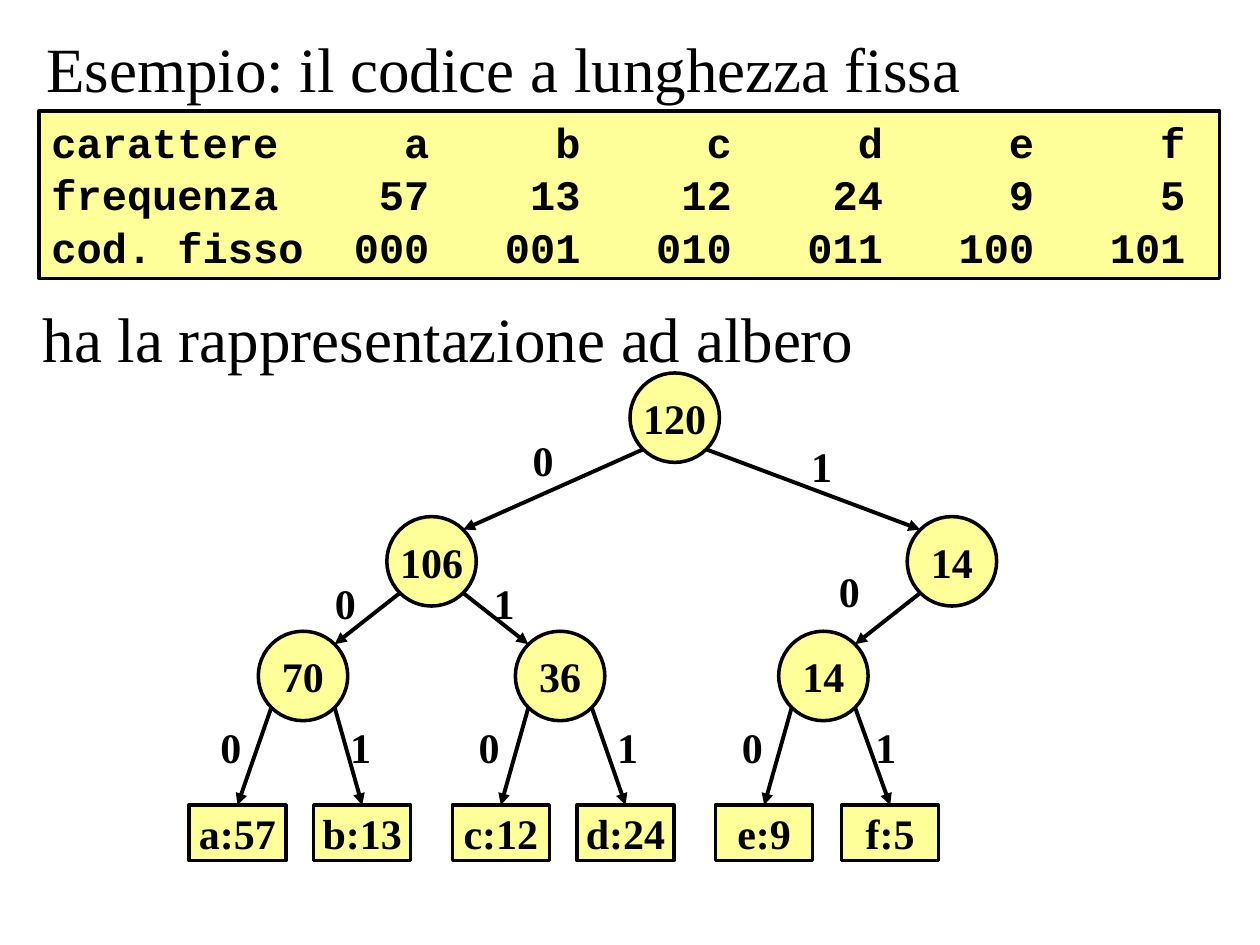
from lxml import etree
from pptx import Presentation
from pptx.dml.color import RGBColor
from pptx.enum.shapes import MSO_CONNECTOR, MSO_SHAPE
from pptx.enum.text import MSO_ANCHOR, PP_ALIGN
from pptx.oxml.ns import qn
from pptx.util import Inches, Pt

RECTANGLE, OVAL = MSO_SHAPE.RECTANGLE, MSO_SHAPE.OVAL
STRAIGHT = MSO_CONNECTOR.STRAIGHT
TOP, MIDDLE, BOTTOM = MSO_ANCHOR.TOP, MSO_ANCHOR.MIDDLE, MSO_ANCHOR.BOTTOM
LEFT, CENTER = PP_ALIGN.LEFT, PP_ALIGN.CENTER

COLORS = {"ink": "000000", "fill": "FFFF99"}
SERIF, MONO = "Times New Roman", "Courier New"
COLUMNS, ROWS = 100, 75
CELL = Inches(0.1)

CODE_ROWS = [
    ["carattere", "a", "b", "c", "d", "e", "f"],
    ["frequenza", "57", "13", "12", "24", "9", "5"],
    ["cod. fisso", "000", "001", "010", "011", "100", "101"],
]
CHAR_WIDTH, FIRST_STOP, STOP_STEP = 2, 15, 6

DIAMETER = 7.1
CORNER = DIAMETER / 2 * 0.71
LEAF_WIDTH, LEAF_HEIGHT = 7.7, 4.4
LABEL_WIDTH, LABEL_HEIGHT = 4, 5.7
LEVELS = [3.55, 14.95, 24.05, 36.5]
LEAF_LEVEL = len(LEVELS) - 1
LABEL_ROWS = [6.85, 18.25, 29.65]

# node: text, column, and children as (bit, label column, label row shift, node)
TREE = ("120", 38.55, [
    ("0", 28.3, 0, ("106", 19.25, [
        ("0", 12.6, 0, ("70", 9.05, [
            ("0", 3.5, 0, ("a:57", 3.85, [])),
            ("1", 13.8, 0, ("b:13", 13.75, []))])),
        ("1", 25.2, 0, ("36", 29.45, [
            ("0", 24, 0, ("c:12", 24.75, [])),
            ("1", 35, 0, ("d:24", 34.65, []))])),
    ])),
    ("1", 50.4, 0.5, ("14", 60.55, [
        ("0", 52.6, -1, ("14", 50.35, [
            ("0", 44.9, 0, ("e:9", 45.65, [])),
            ("1", 55.5, 0, ("f:5", 55.65, []))])),
    ])),
])


def grid(*lengths):
    return [round(length * CELL) for length in lengths]


def color(name):
    return RGBColor.from_string(COLORS[name])


def write(shape, lines, font=SERIF, size=24, bold=True, align=CENTER,
          anchor=MIDDLE, wrap=False, stops=(), spacing=None):
    frame = shape.text_frame
    frame.word_wrap = wrap
    frame.vertical_anchor = anchor
    for index, line in enumerate(lines):
        para = frame.add_paragraph() if index else frame.paragraphs[0]
        para.alignment = align
        if stops:
            tabs = etree.SubElement(para._p.get_or_add_pPr(), qn("a:tabLst"))
            for stop in stops:
                etree.SubElement(tabs, qn("a:tab"), pos=str(stop), algn="r")
        if spacing:
            para.line_spacing = spacing
        span = para.add_run()
        span.text = line
        span.font.name = font
        span.font.size = Pt(size)
        span.font.bold = bold
        span.font.color.rgb = color("ink")


def add_text(page, box, text, **style):
    write(page.shapes.add_textbox(*grid(*box)), [text], **style)


def add_filled(page, kind, box, lines, **style):
    shape = page.shapes.add_shape(kind, *grid(*box))
    shape.shadow.inherit = False
    shape.fill.solid()
    shape.fill.fore_color.rgb = color("fill")
    shape.line.color.rgb = color("ink")
    shape.line.width = Pt(2)
    write(shape, lines, **style)


def add_arrow(page, start, end):
    arrow = page.shapes.add_connector(STRAIGHT, *grid(*start, *end))
    arrow.line.color.rgb = color("ink")
    arrow.line.width = Pt(2.25)
    etree.SubElement(arrow.line._get_or_add_ln(), qn("a:tailEnd"), type="triangle")
    etree.SubElement(arrow._element.spPr, qn("a:effectLst"))


def add_heading(page, box, text, anchor):
    add_text(page, box, text, size=36, bold=False, align=LEFT, anchor=anchor, wrap=True)


def add_code_panel(page, box):
    stops = grid(*[CHAR_WIDTH * (FIRST_STOP + STOP_STEP * index)
                   for index in range(len(CODE_ROWS[0]) - 1)])
    add_filled(page, RECTANGLE, box, ["\t".join(row) for row in CODE_ROWS],
               font=MONO, align=LEFT, anchor=BOTTOM, wrap=True,
               stops=stops, spacing=1.05)


def centered(x, y, width, height):
    return x - width / 2, y - height / 2, width, height


def add_tree(page, box, node, level=0):
    left, top, _, _ = box
    text, column, children = node
    x, y = left + column, top + LEVELS[level]
    if level == LEAF_LEVEL:
        add_filled(page, RECTANGLE, centered(x, y, LEAF_WIDTH, LEAF_HEIGHT), [text])
    else:
        add_filled(page, OVAL, centered(x, y, DIAMETER, DIAMETER), [text])
    for bit, label_column, shift, child in children:
        child_x, child_y = left + child[1], top + LEVELS[level + 1]
        side = -1 if bit == "0" else 1
        if level + 1 == LEAF_LEVEL:
            end = child_x, child_y - LEAF_HEIGHT / 2
        else:
            end = child_x - side * CORNER, child_y - CORNER
        add_tree(page, box, child, level + 1)
        add_arrow(page, (x + side * CORNER, y + CORNER), end)
        label = centered(left + label_column, top + LABEL_ROWS[level] + shift,
                         LABEL_WIDTH, LABEL_HEIGHT)
        add_text(page, label, bit, align=LEFT)


def main():
    deck = Presentation()
    deck.slide_width, deck.slide_height = grid(COLUMNS, ROWS)
    page = deck.slides.add_slide(deck.slide_layouts[6])
    add_heading(page, (2.7, 1.7, 94.5, 7.1), "Esempio: il codice a lunghezza fissa", BOTTOM)
    add_code_panel(page, (3.1, 8.8, 93.7, 13.3))
    add_heading(page, (2.4, 23.3, 94.9, 5.9), "ha la rappresentazione ad albero", TOP)
    add_tree(page, (15, 29.6, 64.1, 38.7), TREE)
    deck.save("out.pptx")


if __name__ == "__main__":
    main()
